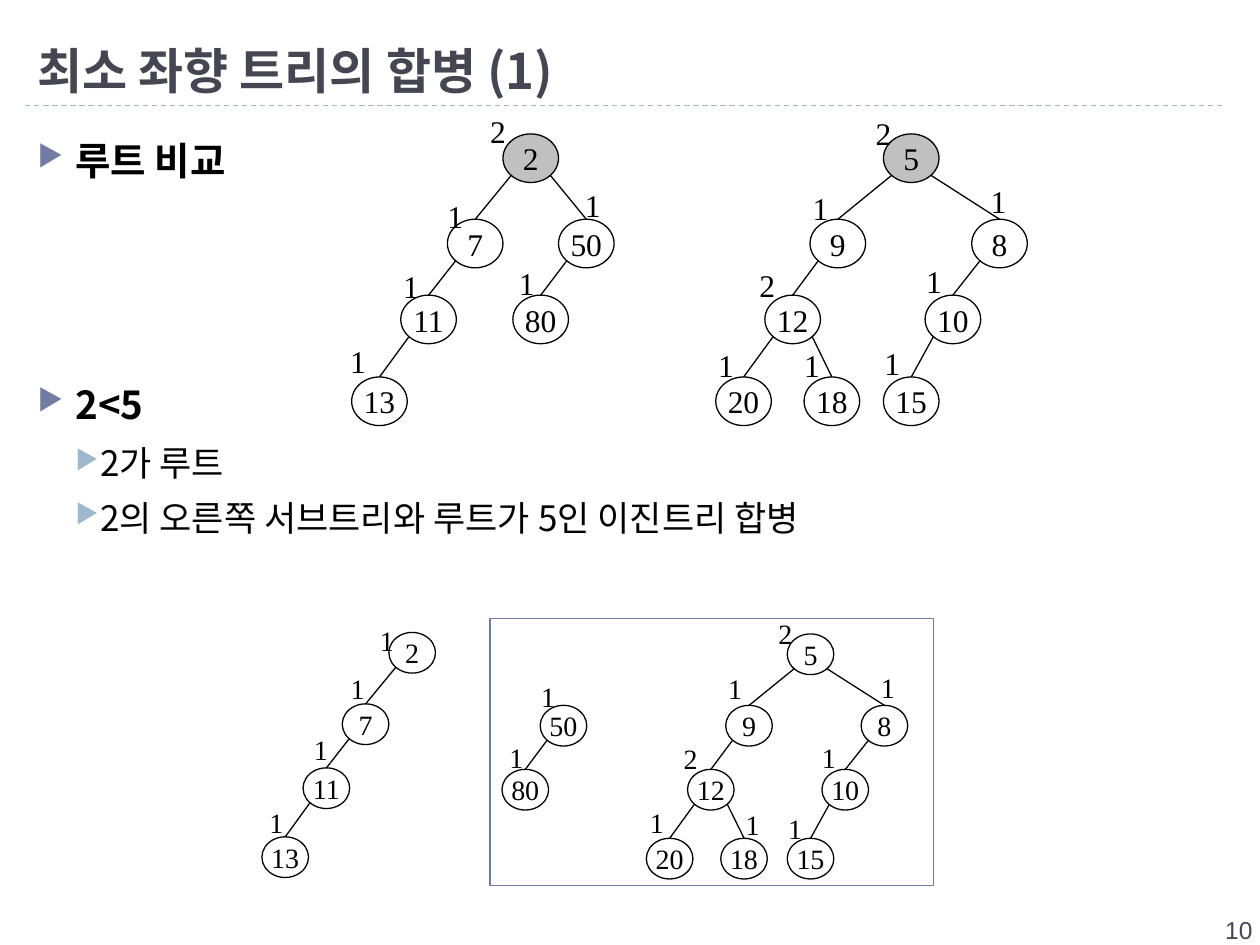
from lxml import etree
from pptx import Presentation
from pptx.dml.color import RGBColor
from pptx.enum.dml import MSO_LINE
from pptx.enum.shapes import MSO_CONNECTOR, MSO_SHAPE
from pptx.enum.text import MSO_ANCHOR, PP_ALIGN
from pptx.oxml.ns import qn
from pptx.util import Cm, Pt

LEFT, CENTER, RIGHT = PP_ALIGN.LEFT, PP_ALIGN.CENTER, PP_ALIGN.RIGHT
TOP, MIDDLE, BOTTOM = MSO_ANCHOR.TOP, MSO_ANCHOR.MIDDLE, MSO_ANCHOR.BOTTOM
STRAIGHT, DASH = MSO_CONNECTOR.STRAIGHT, MSO_LINE.DASH
OVAL, RECTANGLE = MSO_SHAPE.OVAL, MSO_SHAPE.RECTANGLE

BLACK = RGBColor(0x00, 0x00, 0x00)
WHITE = RGBColor(0xFF, 0xFF, 0xFF)
SILVER = RGBColor(0xC0, 0xC0, 0xC0)
SLATE = RGBColor(0x46, 0x46, 0x53)
INDIGO = RGBColor(0x72, 0x7C, 0xA3)
PALE_BLUE = RGBColor(0x9F, 0xB8, 0xCD)

KOREAN = "Noto Sans CJK KR"
SERIF = "Times New Roman"
SANS = "Arial"

NODE_WIDTH, NODE_HEIGHT = 1.12, 0.98
CORNER_NEAR, CORNER_FAR = 0.15, 0.85
SMALL = 0.84

TREE_OF_2 = {
    "2": (3.05, 0, None),
    "7": (1.93, 1.72, "2"),
    "50": (4.17, 1.72, "2"),
    "11": (0.99, 3.25, "7"),
    "80": (3.25, 3.25, "50"),
    "13": (0, 4.9, "11"),
}
TREE_OF_5 = {
    "5": (3.38, 0, None),
    "9": (1.9, 1.72, "5"),
    "8": (5.16, 1.72, "5"),
    "12": (0.99, 3.25, "9"),
    "10": (4.22, 3.25, "8"),
    "20": (0, 4.9, "12"),
    "18": (1.78, 4.9, "12"),
    "15": (3.38, 4.9, "10"),
}

RANKS_OF_2 = {
    "2": ("2", -0.26, -0.45), "7": ("1", 0, -0.45),
    "50": ("1", 0.53, -0.66), "11": ("1", 0.05, -0.56),
    "80": ("1", 0.12, -0.63), "13": ("1", -0.03, -0.71),
}
RANKS_OF_5 = {
    "5": ("2", -0.16, -0.4), "9": ("1", 0.05, -0.61),
    "8": ("1", 0.38, -0.76), "12": ("2", -0.11, -0.58),
    "10": ("1", 0.02, -0.66), "20": ("1", 0.05, -0.63),
    "18": ("1", 0, -0.63), "15": ("1", 0.02, -0.66),
}
RANKS_OF_LEFT_PATH = {
    "2": ("1", -0.18, -0.17), "7": ("1", 0.17, -0.66),
    "11": ("1", 0.22, -0.71), "13": ("1", 0.15, -0.63),
}
RANKS_OF_50 = {"50": ("1", 0.02, -0.53), "80": ("1", 0.15, -0.58)}
RANKS_OF_SMALL_5 = {
    "5": ("2", -0.18, -0.35), "9": ("1", 0.05, -0.68),
    "8": ("1", 0.4, -0.71), "12": ("2", -0.08, -0.56),
    "10": ("1", 0, -0.58), "20": ("1", 0.07, -0.66),
    "18": ("1", 0.5, -0.63), "15": ("1", 0.02, -0.53),
}


def to_lengths(*values):
    return [Cm(round(value, 2)) for value in values]


def set_frame(shape, anchor, wrap):
    frame = shape.text_frame
    frame.margin_left = frame.margin_right = 0
    frame.margin_top = frame.margin_bottom = 0
    frame.vertical_anchor = anchor
    frame.word_wrap = wrap
    return frame


def add_text(para, text, *, size, font, color=BLACK, bold=False, align=LEFT):
    para.alignment = align
    span = para.add_run()
    span.text = text
    span.font.size = Pt(size)
    span.font.bold = bold
    span.font.color.rgb = color
    span.font.name = font
    properties = span.font._element
    etree.SubElement(properties, qn("a:ea")).set("typeface", font)


def add_text_box(page, box, text, anchor=TOP, wrap=True, **style):
    frame = set_frame(page.shapes.add_textbox(*to_lengths(*box)), anchor, wrap)
    add_text(frame.paragraphs[0], text, **style)


def add_line(page, start, end, color=BLACK):
    line = page.shapes.add_connector(STRAIGHT, *to_lengths(*start, *end))
    line.line.color.rgb = color
    line.line.width = Pt(0.75)
    etree.SubElement(line._element.spPr, qn("a:effectLst"))
    return line


def add_outline(page, kind, box, color, fill=None):
    shape = page.shapes.add_shape(kind, *to_lengths(*box))
    shape.shadow.inherit = False
    if fill is None:
        shape.fill.background()
    else:
        shape.fill.solid()
        shape.fill.fore_color.rgb = fill
    shape.line.color.rgb = color
    shape.line.width = Pt(0.75)
    return shape


def set_bullet(para, color, margin, hanging):
    properties = para._p.get_or_add_pPr()
    properties.set("marL", str(Cm(margin)))
    properties.set("indent", str(-Cm(hanging)))
    bullet_color = etree.SubElement(properties, qn("a:buClr"))
    etree.SubElement(bullet_color, qn("a:srgbClr")).set("val", str(color))
    etree.SubElement(properties, qn("a:buSzPct")).set("val", "76000")
    etree.SubElement(properties, qn("a:buChar")).set("char", "▶")


def add_header(page, left, top, width, height):
    add_text_box(page, (left + 0.25, top, width - 0.5, height - 0.12),
                 "최소 좌향 트리의 합병 (1)", anchor=BOTTOM,
                 size=28, font=KOREAN, color=SLATE, bold=True)
    rule = add_line(page, (left, top + height), (left + 24.18, top + height), PALE_BLUE)
    rule.line.dash_style = DASH


def add_body(page, box):
    frame = set_frame(page.shapes.add_textbox(*to_lengths(*box)), TOP, True)
    items = [
        ("루트 비교", True, 0),
        ("2<5", True, 108.5),
        ("2가 루트", False, 1.5),
        ("2의 오른쪽 서브트리와 루트가 5인 이진트리 합병", False, 0),
    ]
    for index, (text, is_main, space) in enumerate(items):
        para = frame.add_paragraph() if index else frame.paragraphs[0]
        para.line_spacing = Pt(31)
        para.space_before = Pt(space)
        if is_main:
            set_bullet(para, INDIGO, 0.76, 0.76)
        else:
            set_bullet(para, PALE_BLUE, 1.24, 0.48)
        add_text(para, text, size=22 if is_main else 20, font=KOREAN, bold=is_main)


def add_tree(page, left, top, nodes, ranks, *, scale=1, size=18, fill=None, root_fill=None):
    width, height = NODE_WIDTH * scale, NODE_HEIGHT * scale
    spots = {key: (left + nodes[key][0] * scale, top + nodes[key][1] * scale)
             for key in ranks}
    ovals = {}
    for key, (x, y) in spots.items():
        is_root = nodes[key][2] is None
        oval = add_outline(page, OVAL, (x, y, width, height), BLACK,
                           root_fill if is_root else fill)
        frame = set_frame(oval, MIDDLE, False)
        add_text(frame.paragraphs[0], key, size=size, font=SERIF, align=CENTER)
        ovals[key] = oval
    for key, (x, y) in spots.items():
        parent = nodes[key][2]
        if parent in spots:
            parent_x, parent_y = spots[parent]
            side = CORNER_NEAR if x < parent_x else CORNER_FAR
            start = (parent_x + width * side, parent_y + height * CORNER_FAR)
            edge = add_line(page, start, (x + width / 2, y))
            edge.end_connect(ovals[key], 0)
        rank, shift_x, shift_y = ranks[key]
        add_text_box(page, (x + shift_x, y + shift_y, 0.32, 0.75), rank,
                     wrap=False, size=size, font=SERIF)


def add_merge_step(page, left, top):
    small = {"scale": SMALL, "size": 16, "fill": WHITE, "root_fill": WHITE}
    add_tree(page, left, top, TREE_OF_2, RANKS_OF_LEFT_PATH, **small)
    add_tree(page, left + 2.11, top + 0.03, TREE_OF_2, RANKS_OF_50, **small)
    add_tree(page, left + 7.75, top + 0.03, TREE_OF_5, RANKS_OF_SMALL_5, **small)
    add_outline(page, RECTANGLE, (left + 4.6, top - 0.28, 8.94, 5.38), INDIGO)


def main():
    deck = Presentation()
    deck.slide_width, deck.slide_height = Cm(25.4), Cm(19.05)
    page = deck.slides.add_slide(deck.slide_layouts[6])
    add_header(page, 0.51, 0.43, 24.41, 1.7)
    add_body(page, (0.76, 2.59, 23.9, 8.5))
    add_tree(page, 7.09, 2.7, TREE_OF_2, RANKS_OF_2, root_fill=SILVER)
    add_tree(page, 14.43, 2.7, TREE_OF_5, RANKS_OF_5, root_fill=SILVER)
    add_merge_step(page, 5.28, 12.75)
    add_text_box(page, (20.2, 18.44, 5.05, 0.6), "10",
                 size=14, font=SANS, color=SLATE, align=RIGHT)
    deck.save("out.pptx")


if __name__ == "__main__":
    main()
